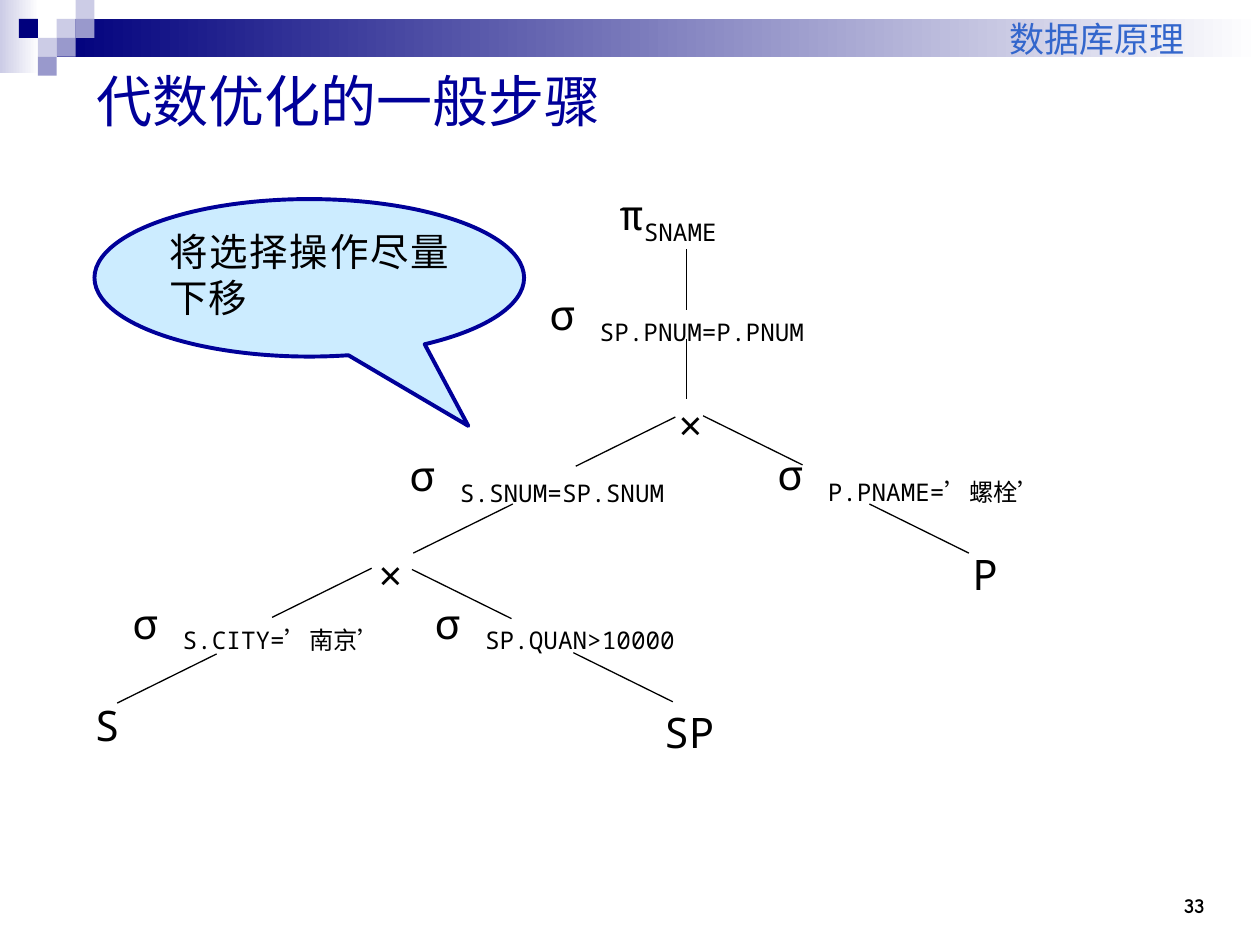
from dataclasses import dataclass

from lxml import etree
from pptx import Presentation
from pptx.dml.color import RGBColor
from pptx.enum.shapes import MSO_CONNECTOR, MSO_SHAPE
from pptx.enum.text import MSO_ANCHOR, PP_ALIGN
from pptx.oxml.ns import qn
from pptx.util import Inches, Pt

RECT = MSO_SHAPE.RECTANGLE
BUBBLE = MSO_SHAPE.OVAL_CALLOUT
LINE = MSO_CONNECTOR.STRAIGHT
LEFT, MID, RIGHT = PP_ALIGN.LEFT, PP_ALIGN.CENTER, PP_ALIGN.RIGHT
FULL = PP_ALIGN.JUSTIFY
TOP, CENTER, BASE = MSO_ANCHOR.TOP, MSO_ANCHOR.MIDDLE, MSO_ANCHOR.BOTTOM


@dataclass(frozen=True)
class Theme:
    navy: str = "00007D"
    blue: str = "000099"
    sky: str = "3366CC"
    pale: str = "CCCCE6"
    lilac: str = "9999CC"
    ice: str = "CCECFF"
    white: str = "FFFFFF"
    black: str = "000000"
    head: str = "Comic Neue"
    mono: str = "Noto Sans Mono"
    serif: str = "Times New Roman"
    title: int = 32
    node: int = 24
    note: int = 22
    label: int = 20
    page: int = 12


T = Theme()


def rgb(code):
    return RGBColor.from_string(code)


def style(run, font, size, color, bold=False):
    run.font.name = font
    run.font.size = Pt(size)
    run.font.color.rgb = rgb(color)
    run.font.bold = bold


def add_text(slide, box, text, font, size, color, align=LEFT, anchor=TOP,
             bold=False, pad=True):
    frame = slide.shapes.add_textbox(*map(Inches, box)).text_frame
    frame.word_wrap = True
    frame.vertical_anchor = anchor
    if not pad:
        frame.margin_left = frame.margin_right = 0
        frame.margin_top = frame.margin_bottom = 0
    para = frame.paragraphs[0]
    para.text = text
    para.alignment = align
    style(para.runs[0], font, size, color, bold)
    return para


def add_block(slide, box, *colors):
    block = slide.shapes.add_shape(RECT, *map(Inches, box))
    block.shadow.inherit = False
    block.line.fill.background()
    if len(colors) == 1:
        block.fill.solid()
        block.fill.fore_color.rgb = rgb(colors[0])
        return
    block.fill.gradient()
    block.fill.gradient_angle = 0
    for stop, color in zip(block.fill.gradient_stops, colors):
        stop.color.rgb = rgb(color)


def add_banner(slide, box):
    x, y, w, h = box
    unit = h / 4
    add_block(slide, (x, y, 0.31, 0.58), T.pale, T.white)
    add_block(slide, (x + 3 * unit, y + unit, w - 3 * unit, 2 * unit),
              T.navy, T.white)
    tiles = [(3, 1, T.pale), (4, 0, T.pale), (4, 1, T.lilac), (2, 2, T.pale),
             (1, 1, T.navy), (3, 2, T.lilac), (2, 3, T.lilac)]
    for col, row, color in tiles:
        add_block(slide, (x + col * unit, y + row * unit, unit, unit), color)
    add_text(slide, (x + 3.83, y, 5.67, 0.52), "数据库原理",
             T.head, T.label, T.sky, RIGHT, BASE)


def add_node(slide, box, text, sub, align):
    para = add_text(slide, box, text, T.mono, T.node, T.black, align, pad=False)
    if sub:
        run = para.add_run()
        run.text = sub
        style(run, T.mono, T.node, T.black)
        run.font._element.set("baseline", "-25000")


def add_edge(slide, x, y, dx, dy):
    edge = slide.shapes.add_connector(
        LINE, *map(Inches, (x, y, x + dx, y + dy)))
    edge.line.color.rgb = rgb(T.black)
    edge.line.width = Pt(0.75)
    etree.SubElement(edge._element.spPr, qn("a:effectLst"))


def add_tree(slide, box):
    left, top = box[:2]
    nodes = [
        (4.24, 0, 1.27, "π", "SNAME"),
        (3.69, 0.79, 2.64, "σ ", "SP.PNUM=P.PNUM"),
        (4.63, 1.67, 0.36, "×", ""),
        (2.58, 2.07, 2.53, "σ ", "S.SNUM=SP.SNUM"),
        (5.5, 2.06, 2.66, "σ ", "P.PNAME=’螺栓’"),
        (2.25, 2.86, 0.36, "×", ""),
        (6.97, 2.85, 0.36, "P", ""),
        (0.38, 3.24, 2.36, "σ ", "S.CITY=’南京’"),
        (2.78, 3.24, 2.46, "σ ", "SP.QUAN>10000"),
        (0, 4.05, 0.36, "S", ""),
        (4.6, 4.11, 0.56, "SP", ""),
    ]
    for x, y, w, text, sub in nodes:
        align = MID if len(text) == 1 and not sub else FULL
        add_node(slide, (left + x, top + y, w, 0.24), text, sub, align)
    down, west, east = (0, 0.48), (-0.79, 0.39), (0.79, 0.39)
    edges = [
        (4.78, 0.48, down), (4.78, 1.19, down),
        (4.69, 1.81, west), (4.91, 1.8, east),
        (3.4, 2.5, west), (6.23, 2.5, east),
        (2.28, 3.01, west), (2.6, 3.02, east),
        (1.05, 3.69, west), (3.88, 3.68, east),
    ]
    for x, y, step in edges:
        add_edge(slide, left + x, top + y, *step)


def add_note(slide, box):
    note = slide.shapes.add_shape(BUBBLE, *map(Inches, box))
    note.shadow.inherit = False
    note.adjustments[0], note.adjustments[1] = 0.37, 0.94
    note.fill.solid()
    note.fill.fore_color.rgb = rgb(T.ice)
    note.line.color.rgb = rgb(T.blue)
    note.line.width = Pt(2.25)
    frame = note.text_frame
    frame.word_wrap = True
    frame.vertical_anchor = TOP
    para = frame.paragraphs[0]
    para.text = "将选择操作尽量下移"
    para.alignment = FULL
    style(para.runs[0], T.serif, T.note, T.black)


def main():
    deck = Presentation()
    deck.slide_width, deck.slide_height = Inches(10), Inches(7.5)
    slide = deck.slides.add_slide(deck.slide_layouts[6])
    add_banner(slide, (0, 0, 10, 0.6))
    add_text(slide, (8.83, 6.83, 0.83, 0.5), "33",
             T.head, T.page, T.black, RIGHT, BASE, True)
    add_text(slide, (0.67, 0.42, 9, 0.75), "代数优化的一般步骤",
             T.head, T.title, T.blue, LEFT, CENTER)
    add_tree(slide, (0.67, 1.5, 8.16, 4.4))
    add_note(slide, (0.75, 1.58, 3.41, 1.25))
    deck.save("out.pptx")


if __name__ == "__main__":
    main()
